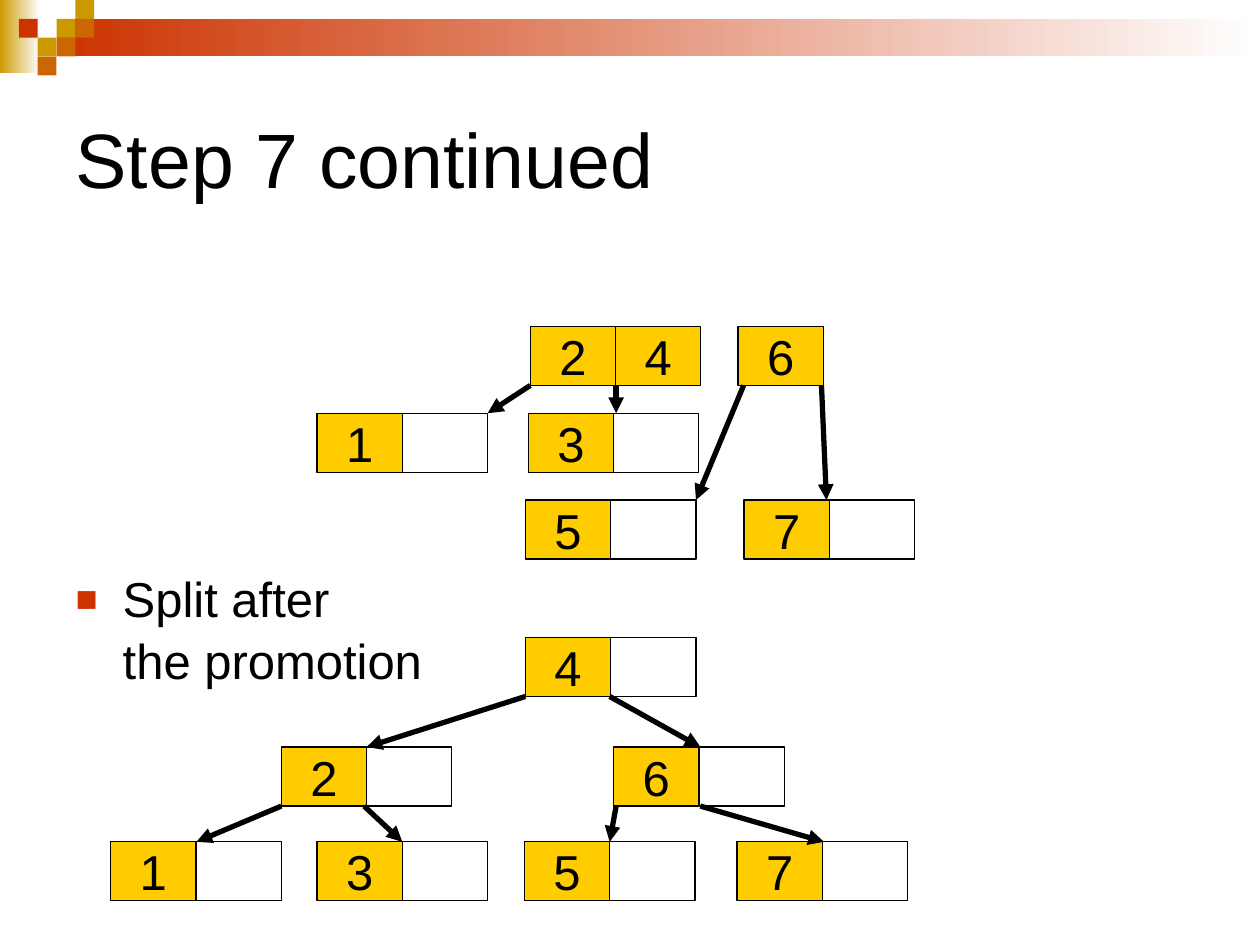
from lxml.etree import SubElement
from pptx import Presentation
from pptx.dml.color import RGBColor
from pptx.enum.shapes import MSO_CONNECTOR as CONN, MSO_SHAPE as SHAPE
from pptx.enum.text import MSO_ANCHOR as ANCHOR, PP_ALIGN as ALIGN
from pptx.oxml.ns import qn
from pptx.util import Cm, Pt

COLORS = {
    "black": "000000",
    "white": "FFFFFF",
    "key": "FFCC00",
    "red": "CC3300",
    "gold": "CC9900",
    "orange": "CC6600",
}
FONT = "Arial"

# All lengths are in centimetres
CELL_W, CELL_H = 1.72, 1.19
SQUARE = 0.38
ROWS = {"split": 6.58, "left": 8.33, "right": 10.08,
        "root": 12.85, "inner": 15.06, "leaf": 16.97}

# Row, left edge, content of the cells (an empty string is a free slot)
NODES = [
    ("split", 10.69, ["2", "4"]),
    ("split", 14.88, ["6"]),
    ("left", 6.39, ["1", ""]),
    ("left", 10.65, ["3", ""]),
    ("right", 10.59, ["5", ""]),
    ("right", 15.0, ["7", ""]),
    ("root", 10.59, ["4", ""]),
    ("inner", 5.67, ["2", ""]),
    ("inner", 12.37, ["6", ""]),
    ("leaf", 2.23, ["1", ""]),
    ("leaf", 6.39, ["3", ""]),
    ("leaf", 10.57, ["5", ""]),
    ("leaf", 14.86, ["7", ""]),
]

# Parent row, x at its bottom, child row, x at its top
ARROWS = [
    ("split", 10.69, "left", 9.83),
    ("split", 12.42, "left", 12.42),
    ("split", 14.99, "right", 14.03),
    ("split", 16.56, "right", 16.66),
    ("root", 10.59, "inner", 7.39),
    ("root", 12.29, "inner", 14.12),
    ("inner", 5.67, "leaf", 3.96),
    ("inner", 7.34, "leaf", 8.11),
    ("inner", 12.42, "leaf", 12.29),
    ("inner", 14.12, "leaf", 16.61),
]

# Column, row and colour of the corner squares
SQUARES = [
    (3, 1, "gold"), (4, 0, "gold"), (4, 1, "orange"), (2, 2, "gold"),
    (1, 1, "red"), (3, 2, "orange"), (2, 3, "orange"),
]


def rgb(name):
    return RGBColor.from_string(COLORS[name])


def style_runs(p, size):
    for r in p.runs:
        r.font.name = FONT
        r.font.size = Pt(size)
        r.font.color.rgb = rgb("black")


def add_rect(shapes, x, y, w, h, fill):
    sp = shapes.add_shape(SHAPE.RECTANGLE, Cm(x), Cm(y), Cm(w), Cm(h))
    sp.shadow.inherit = False
    sp.fill.solid()
    sp.fill.fore_color.rgb = rgb(fill)
    sp.line.fill.background()
    return sp


def add_fade(shapes, x, y, w, h, color):
    sp = add_rect(shapes, x, y, w, h, color)
    sp.fill.gradient()
    sp.fill.gradient_angle = 0
    for stop, name in zip(sp.fill.gradient_stops, (color, "white")):
        stop.color.rgb = rgb(name)


def add_banner(slide):
    shapes = slide.shapes.add_group_shape().shapes
    add_fade(shapes, 0, 0, 0.8, 1.47, "gold")
    add_fade(shapes, 1.14, SQUARE, 24.26, 0.75, "red")
    for col, row, color in SQUARES:
        add_rect(shapes, col * SQUARE, row * SQUARE, SQUARE, SQUARE, color)


def place(sp, x, y, w, h):
    sp.left, sp.top, sp.width, sp.height = Cm(x), Cm(y), Cm(w), Cm(h)


def fill_title(sp, text):
    place(sp, 1.27, 1.27, 22.86, 3.81)
    tf = sp.text_frame
    tf.text = text
    tf.vertical_anchor = ANCHOR.MIDDLE
    p = tf.paragraphs[0]
    p.alignment = ALIGN.LEFT
    style_runs(p, 44)


def add_bullet(p, char, color):
    pPr = p._p.get_or_add_pPr()
    pPr.set("marL", str(Cm(0.95)))
    pPr.set("indent", str(Cm(-0.95)))
    clr = SubElement(pPr, qn("a:buClr"))
    SubElement(clr, qn("a:srgbClr"), val=COLORS[color])
    SubElement(pPr, qn("a:buSzPct"), val="75000")
    SubElement(pPr, qn("a:buFont"), typeface=FONT)
    SubElement(pPr, qn("a:buChar"), char=char)


def fill_body(sp, text):
    place(sp, 1.27, 5.51, 22.86, 10.8)
    tf = sp.text_frame
    tf.text = text
    tf.margin_top = Cm(5.9)  # the caption starts below the first tree
    p = tf.paragraphs[0]
    add_bullet(p, "■", "red")
    p.space_before = Pt(0)
    p.line_spacing = 1.05
    style_runs(p, 28)
    for br in p._p.findall(qn("a:br")):
        SubElement(br, qn("a:rPr"), sz="2800")


def add_cell(shapes, x, y, key):
    sp = add_rect(shapes, x, y, CELL_W, CELL_H, "key" if key else "white")
    sp.line.color.rgb = rgb("black")
    sp.line.width = Pt(0.75)
    if key:
        tf = sp.text_frame
        tf.text = key
        tf.word_wrap = False
        tf.vertical_anchor = ANCHOR.MIDDLE
        p = tf.paragraphs[0]
        p.alignment = ALIGN.CENTER
        style_runs(p, 28)


def add_node(slide, row, x, keys):
    shapes = slide.shapes
    if len(keys) > 1:
        shapes = shapes.add_group_shape().shapes
    for i, key in enumerate(keys):
        add_cell(shapes, x + i * CELL_W, ROWS[row], key)


def add_arrow(slide, parent, x1, child, x2):
    line = slide.shapes.add_connector(
        CONN.STRAIGHT, Cm(x1), Cm(ROWS[parent] + CELL_H), Cm(x2), Cm(ROWS[child]))
    line.line.color.rgb = rgb("black")
    line.line.width = Pt(3)
    SubElement(line.line._get_or_add_ln(), qn("a:tailEnd"), type="triangle")
    SubElement(line._element.spPr, qn("a:effectLst"))


def main():
    prs = Presentation()
    prs.slide_width, prs.slide_height = Cm(25.4), Cm(19.05)
    slide = prs.slides.add_slide(prs.slide_layouts[1])

    # Banner and text
    add_banner(slide)
    fill_title(slide.shapes.title, "Step 7 continued")
    fill_body(slide.placeholders[1], "Split after\vthe promotion")

    # Trees before and after the split
    for node in NODES:
        add_node(slide, *node)
    for arrow in ARROWS:
        add_arrow(slide, *arrow)

    prs.save("out.pptx")


if __name__ == "__main__":
    main()
